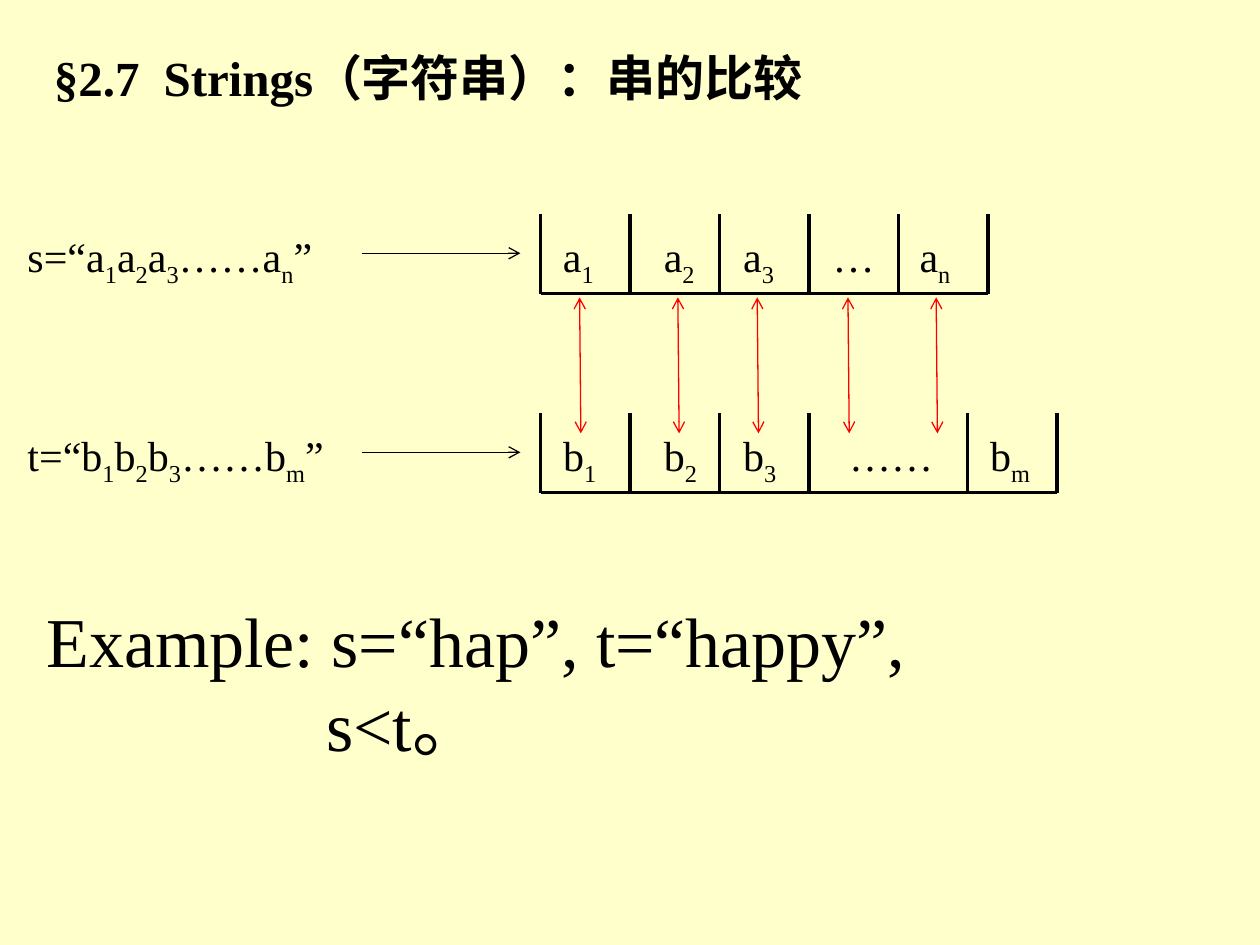
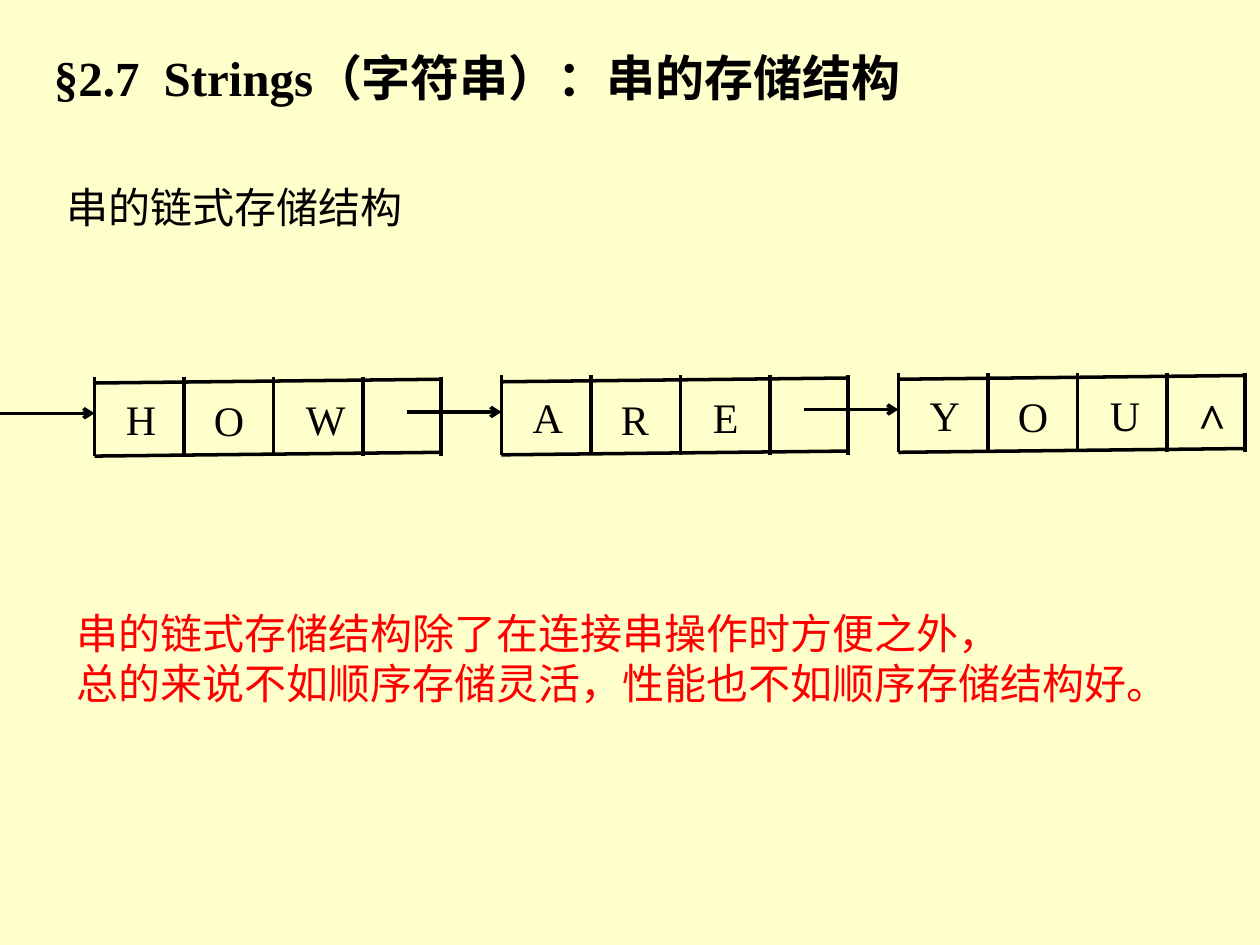
from dataclasses import dataclass

from lxml.etree import SubElement
from pptx import Presentation
from pptx.dml.color import RGBColor
from pptx.enum.shapes import MSO_CONNECTOR
from pptx.enum.text import MSO_AUTO_SIZE
from pptx.oxml.ns import qn
from pptx.presentation import Presentation as Deck
from pptx.slide import Slide
from pptx.util import Inches, Pt

CREAM = RGBColor(0xFF, 0xFF, 0xCC)
BLACK = RGBColor(0x00, 0x00, 0x00)
RED = RGBColor(0xFF, 0x00, 0x00)
FONT = "Times New Roman"
CELL = 0.71
BAR_HEIGHT = 0.63
TEXT_HEIGHT = 0.51
THICK, THIN = 2, 0.75


@dataclass(frozen=True)
class Label:
    """Text with its left edge and width; an underscore lowers the next letter."""
    text: str
    left: float
    width: float


@dataclass(frozen=True)
class CharArray:
    """A string literal and the open cells that hold its characters."""
    top: float
    literal: Label
    bars: tuple[float, ...]
    cells: tuple[Label, ...]


@dataclass(frozen=True)
class Node:
    """A linked block of three characters; letter lefts are relative to it."""
    left: float
    top: float
    letters: tuple[Label, ...]


ARRAY_LEFT = 4.29
EVEN_BARS = tuple(ARRAY_LEFT + CELL * i for i in range(6))
ARRAYS = (
    CharArray(1.7, Label("s=“a_1a_2a_3……a_n”", 0.12, 2.54), EVEN_BARS,
              (Label("a_1", 4.37, 0.46), Label("a_2", 5.17, 0.46),
               Label("a_3", 5.8, 0.46), Label("…", 6.51, 0.54),
               Label("a_n", 7.2, 0.47))),
    CharArray(3.28, Label("t=“b_1b_2b_3……b_m”", 0.12, 2.64),
              EVEN_BARS[:4] + (7.68, 8.39),
              (Label("b_1", 4.37, 0.48), Label("b_2", 5.17, 0.48),
               Label("b_3", 5.8, 0.48), Label("……", 6.64, 0.88),
               Label("b_m", 7.76, 0.54))),
)
COMPARISONS = (4.6, 5.38, 6.01, 6.73, 7.43)

NODE_WIDTH = 2.75
NODE_BARS = (0, CELL, 2 * CELL, 3 * CELL, NODE_WIDTH)
NODES = (
    Node(0.75, 2.99, (Label("H", 0.15, 0.45), Label("O", 0.85, 0.44),
                      Label("W", 1.58, 0.53))),
    Node(3.98, 2.98, (Label("A", 0.15, 0.46), Label("R", 0.85, 0.43),
                      Label("E", 1.58, 0.41))),
    Node(7.13, 2.96, (Label("Y", 0.15, 0.45), Label("O", 0.85, 0.44),
                      Label("U", 1.58, 0.44))),
)


def add_text(s: Slide, lines: tuple[str, ...], left: float, top: float,
             width: float, height: float = TEXT_HEIGHT, size: float = 24,
             color: RGBColor = BLACK, bold: bool = False, wrap: bool = False,
             tab: float = 0, last_indent: float = 0) -> None:
    """Add a text box with one paragraph per line."""
    box = s.shapes.add_textbox(Inches(left), Inches(top), Inches(width), Inches(height))
    tf = box.text_frame
    tf.word_wrap = wrap
    tf.auto_size = MSO_AUTO_SIZE.SHAPE_TO_FIT_TEXT
    for i, line in enumerate(lines):
        p = tf.paragraphs[0] if i == 0 else tf.add_paragraph()
        pPr = p._p.get_or_add_pPr()
        if last_indent and i == len(lines) - 1:
            pPr.set("marL", str(Inches(last_indent)))
        if tab:
            stops = SubElement(pPr, qn("a:tabLst"))
            SubElement(stops, qn("a:tab"), pos=str(Inches(tab)), algn="l")
        first, *rest = line.split("_")
        pieces = [(first, False)]
        for part in rest:
            pieces += [(part[0], True), (part[1:], False)]
        for text, lowered in pieces:
            if not text:
                continue
            r = p.add_run()
            r.text = text
            r.font.name = FONT
            r.font.size = Pt(size)
            r.font.bold = bold
            r.font.color.rgb = color
            if lowered:
                r._r.get_or_add_rPr().set("baseline", "-25000")


def add_line(s: Slide, x1: float, y1: float, x2: float, y2: float,
             weight: float = THICK, color: RGBColor = BLACK,
             arrows: tuple[str, ...] = ()) -> None:
    """Add a straight line with open arrowheads at the named ends."""
    line = s.shapes.add_connector(MSO_CONNECTOR.STRAIGHT, Inches(x1), Inches(y1),
                                  Inches(x2), Inches(y2))
    line.line.width = Pt(weight)
    line.line.color.rgb = color
    spPr = line._element.spPr
    for end in arrows:
        SubElement(spPr.find(qn("a:ln")), qn(f"a:{end}"), type="arrow")
    SubElement(spPr, qn("a:effectLst"))


def add_bars(s: Slide, xs: tuple[float, ...], top: float) -> None:
    """Add the upright cell walls."""
    for x in xs:
        add_line(s, x, top, x, top + BAR_HEIGHT)


def add_titled_slide(prs: Deck, topic: str) -> Slide:
    """Add a cream slide with the section title."""
    s = prs.slides.add_slide(prs.slide_layouts[6])
    fill = s.background.fill
    fill.solid()
    fill.fore_color.rgb = CREAM
    add_text(s, (f"§2.7\tStrings（字符串）：{topic}",), 0.33, 0.33, 9.17, 0.57,
             size=28, bold=True, wrap=True, tab=0.87)
    return s


def add_array(s: Slide, array: CharArray) -> None:
    """Draw a string literal, its arrow and its cells."""
    bottom = array.top + BAR_HEIGHT
    arrow_y = array.top + 0.31
    add_bars(s, array.bars, array.top)
    add_line(s, array.bars[0], bottom, array.bars[-1], bottom)
    for label in (array.literal, *array.cells):
        add_text(s, (label.text,), label.left, array.top + 0.08, label.width)
    add_line(s, 2.87, arrow_y, 4.13, arrow_y, THIN, arrows=("tailEnd",))


def add_node(s: Slide, node: Node) -> None:
    """Draw a linked block with its letters and incoming arrow."""
    right = node.left + NODE_WIDTH
    arrow_y = node.top + 0.29
    add_bars(s, tuple(node.left + x for x in NODE_BARS), node.top)
    for edge in (0.05, BAR_HEIGHT):
        add_line(s, node.left, node.top + edge, right, node.top + edge - 0.03)
    for label, drop in zip(node.letters, (0.08, 0.09, 0.08)):
        add_text(s, (label.text,), node.left + label.left, node.top + drop, label.width)
    add_line(s, node.left - 0.75, arrow_y, node.left, arrow_y, arrows=("tailEnd",))


def build_comparison(prs: Deck) -> None:
    """Build the string comparison slide."""
    s = add_titled_slide(prs, "串的比较")
    for array in ARRAYS:
        add_array(s, array)
    for x in COMPARISONS:
        add_line(s, x, 2.36, x + 0.01, 3.44, THIN, RED, ("headEnd", "tailEnd"))
    add_text(s, ("Example: s=“hap”, t=“happy”,", "s<t。"), 0.27, 4.69, 7.1, 1.45,
             size=40, last_indent=2.22)


def build_linked_storage(prs: Deck) -> None:
    """Build the linked storage slide."""
    s = add_titled_slide(prs, "串的存储结构")
    add_text(s, ("串的链式存储结构",), 0.43, 1.39, 2.89)
    for node in NODES:
        add_node(s, node)
    add_text(s, ("^",), 9.41, 3.04, 0.43, 0.57, size=28, bold=True)
    add_text(s, ("串的链式存储结构除了在连接串操作时方便之外，",
                 "总的来说不如顺序存储灵活，性能也不如顺序存储结构好。"),
             0.51, 4.77, 8.95, 0.91, color=RED)


def main() -> None:
    """Build and save the deck."""
    prs = Presentation()
    prs.slide_width, prs.slide_height = Inches(10), Inches(7.5)
    build_comparison(prs)
    build_linked_storage(prs)
    prs.save("out.pptx")


if __name__ == "__main__":
    main()
